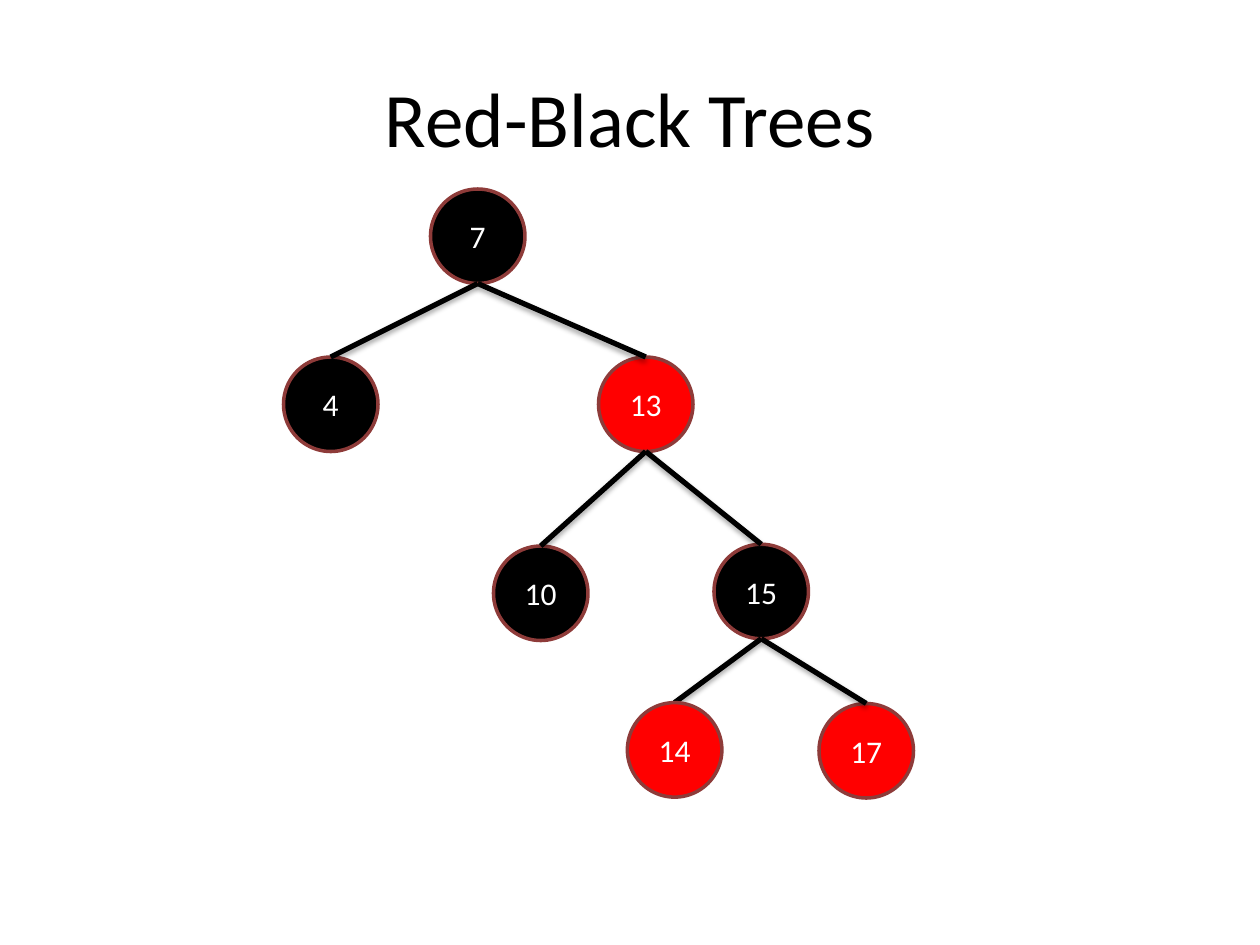
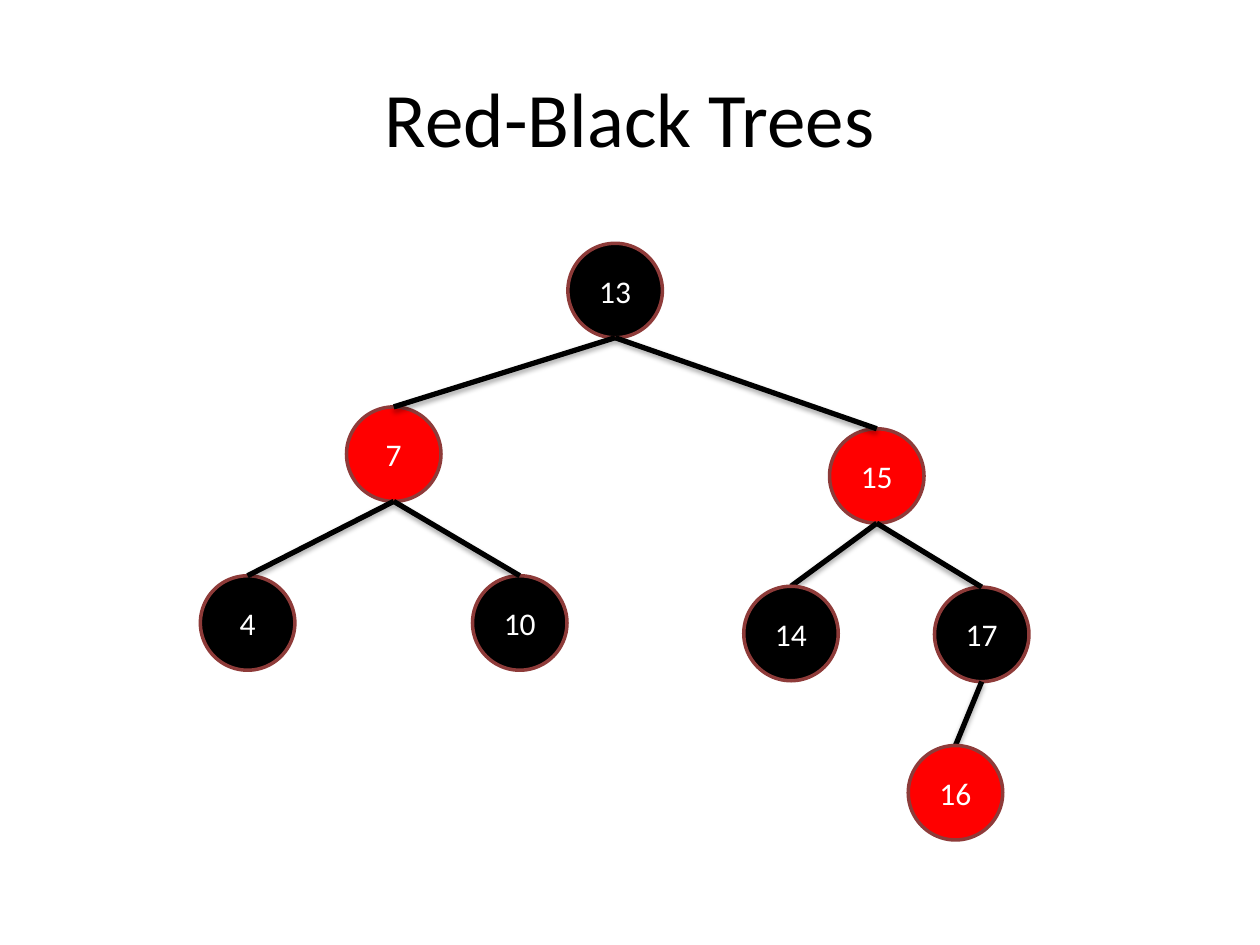
from dataclasses import dataclass

from lxml import etree
from pptx import Presentation
from pptx.dml.color import RGBColor
from pptx.enum.shapes import MSO_CONNECTOR as Connector, MSO_SHAPE as Shape
from pptx.enum.text import MSO_ANCHOR as Anchor, PP_ALIGN as Align
from pptx.oxml.ns import qn
from pptx.util import Pt

BLACK = RGBColor(0x00, 0x00, 0x00)
RED = RGBColor(0xFF, 0x00, 0x00)
WHITE = RGBColor(0xFF, 0xFF, 0xFF)
OUTLINE = RGBColor(0x8E, 0x3B, 0x39)

FONT = "Calibri"
TITLE = "Red-Black Trees"
DIAMETER = 54
TITLE_ONLY = 5


@dataclass(frozen=True)
class Node:
    key: int
    left: float
    top: float
    color: RGBColor
    parent: int | None = None
    in_front: bool = False

    @property
    def center(self) -> float:
        return self.left + DIAMETER / 2

    @property
    def bottom(self) -> float:
        return self.top + DIAMETER


BEFORE_INSERT = [
    Node(7, 246, 108, BLACK),
    Node(4, 162, 204, BLACK, 7),
    Node(13, 342, 204, RED, 7),
    Node(10, 282, 312, BLACK, 13),
    Node(15, 408, 311, BLACK, 13),
    Node(17, 468, 402, RED, 15),
    Node(14, 358.5, 401.5, RED, 15, in_front=True),
]

AFTER_INSERT = [
    Node(13, 324.5, 139, BLACK),
    Node(7, 198, 232.5, RED, 13),
    Node(15, 474, 245, RED, 13),
    Node(4, 114.5, 329, BLACK, 7),
    Node(10, 270, 329, BLACK, 7),
    Node(17, 534, 335.5, BLACK, 15),
    Node(14, 425, 335, BLACK, 15, in_front=True),
    Node(16, 519, 426, RED, 17, in_front=True),
]


def write(frame, text: str, size: float, color: RGBColor) -> None:
    frame.word_wrap = True
    frame.vertical_anchor = Anchor.MIDDLE
    para = frame.paragraphs[0]
    para.alignment = Align.CENTER
    span = para.add_run()
    span.text = text
    span.font.name = FONT
    span.font.size = Pt(size)
    span.font.color.rgb = color


def draw_title(page) -> None:
    title = page.shapes.title
    title.left, title.top = Pt(36), Pt(21.6)
    title.width, title.height = Pt(648), Pt(90)
    write(title.text_frame, TITLE, 44, BLACK)


def draw_node(page, node: Node) -> None:
    circle = page.shapes.add_shape(
        Shape.OVAL, Pt(node.left), Pt(node.top), Pt(DIAMETER), Pt(DIAMETER)
    )
    circle.shadow.inherit = False
    circle.fill.solid()
    circle.fill.fore_color.rgb = node.color
    circle.line.color.rgb = OUTLINE
    circle.line.width = Pt(2)
    write(circle.text_frame, str(node.key), 18, WHITE)


def add_shadow(properties) -> None:
    effects = etree.SubElement(properties, qn("a:effectLst"))
    shadow = etree.SubElement(
        effects, qn("a:outerShdw"),
        blurRad=str(Pt(3.1)), dist=str(Pt(1.8)), dir="5400000", rotWithShape="0",
    )
    color = etree.SubElement(shadow, qn("a:srgbClr"), val=str(BLACK))
    etree.SubElement(color, qn("a:alpha"), val="35000")


def draw_edge(page, parent: Node, child: Node) -> None:
    edge = page.shapes.add_connector(
        Connector.STRAIGHT,
        Pt(parent.center), Pt(parent.bottom), Pt(child.center), Pt(child.top),
    )
    edge.line.color.rgb = BLACK
    edge.line.width = Pt(3)
    add_shadow(edge._element.spPr)


def draw_tree(page, nodes: list[Node]) -> None:
    by_key = {node.key: node for node in nodes}
    for node in nodes:
        if not node.in_front:
            draw_node(page, node)
    for node in nodes:
        if node.parent is not None:
            draw_edge(page, by_key[node.parent], node)
    for node in nodes:
        if node.in_front:
            draw_node(page, node)


def main() -> None:
    deck = Presentation()
    deck.slide_width, deck.slide_height = Pt(720), Pt(540)
    for nodes in (BEFORE_INSERT, AFTER_INSERT):
        page = deck.slides.add_slide(deck.slide_layouts[TITLE_ONLY])
        draw_title(page)
        draw_tree(page, nodes)
    deck.save("out.pptx")


if __name__ == "__main__":
    main()
